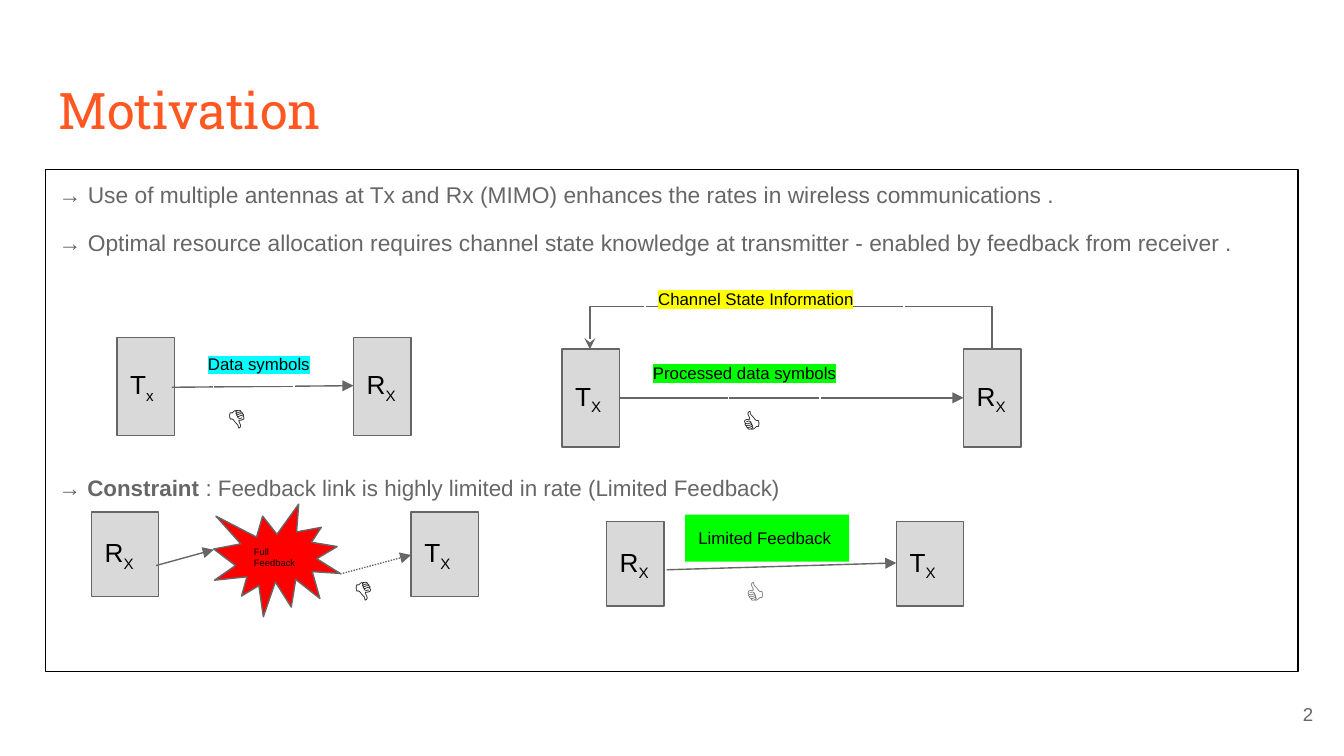
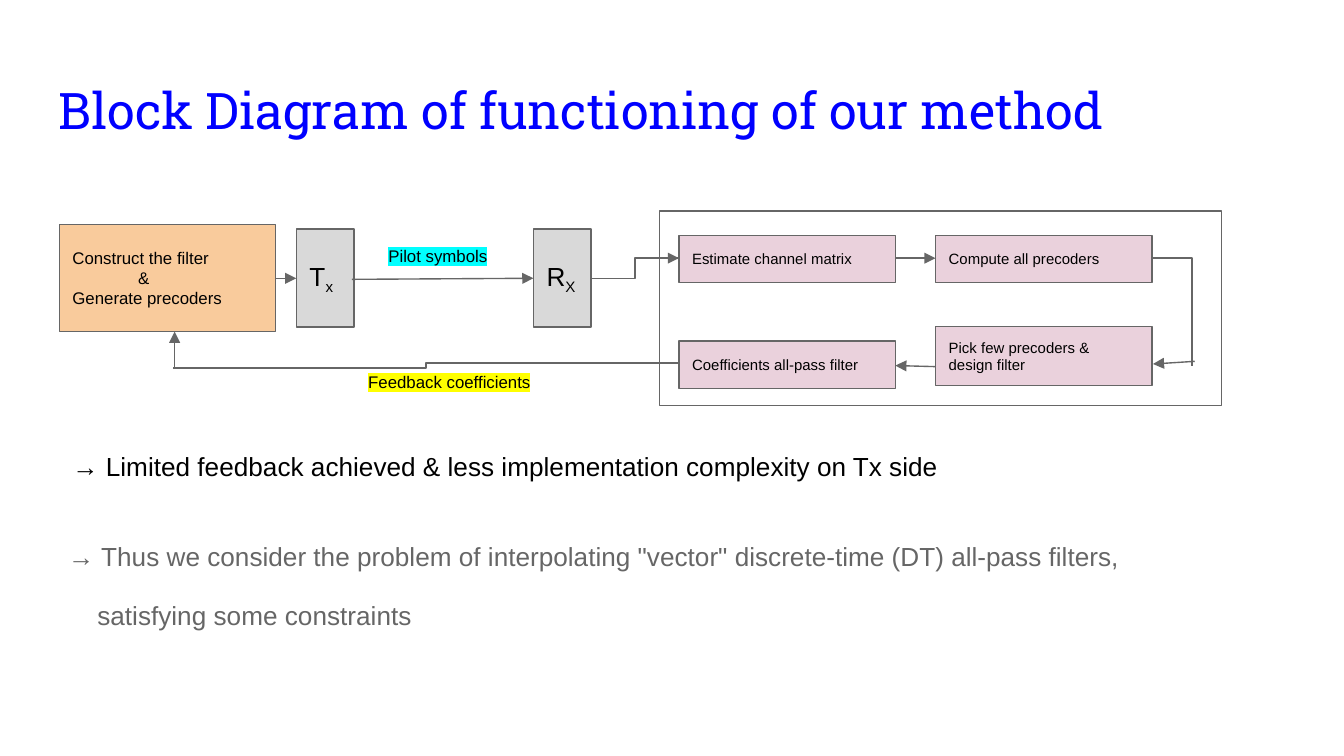
from dataclasses import dataclass

from lxml.etree import SubElement
from pptx import Presentation
from pptx.dml.color import RGBColor as RGB
from pptx.enum.dml import MSO_LINE as Dash
from pptx.enum.shapes import MSO_CONNECTOR as Wire, MSO_SHAPE as Form
from pptx.enum.text import MSO_ANCHOR as Anchor, PP_ALIGN as Align
from pptx.oxml.ns import qn
from pptx.util import Cm, Pt


@dataclass(frozen=True)
class Theme:
    black: str = "000000"
    white: str = "FFFFFF"
    gray: str = "666666"
    node: str = "D9D9D9"
    pink: str = "EAD1DC"
    peach: str = "F9CB9C"
    red: str = "FF0000"
    green: str = "00FF00"
    cyan: str = "00FFFF"
    yellow: str = "FFFF00"
    orange: str = "FF5722"
    blue: str = "0000FF"
    sans: str = "Arial"
    slab: str = "Roboto Slab"
    title: float = 27
    body: float = 12.2
    point: float = 12
    big: float = 14
    thumb: float = 16
    label: float = 9
    step: float = 8
    tiny: float = 5
    page: float = 10
    edge: float = 0.75


T = Theme()


def box(sld, at, *paras, size=T.label, ink=T.black, font=T.sans, fill=None,
        line=None, mark=None, mid=False, form=Form.RECTANGLE):
    """Add a box and return its paragraphs; each is a string or a list of (text, style)."""
    area = [Cm(v) for v in at]
    if fill or line:
        item = sld.shapes.add_shape(form, *area)
        item.shadow.inherit = False
        if fill:
            item.fill.solid()
            item.fill.fore_color.rgb = RGB.from_string(fill)
        else:
            item.fill.background()
        if line:
            item.line.color.rgb = RGB.from_string(line)
            item.line.width = Pt(T.edge)
        else:
            item.line.fill.background()
    else:
        item = sld.shapes.add_textbox(*area)
    frame = item.text_frame
    frame.word_wrap = True
    frame.vertical_anchor = Anchor.MIDDLE if mid else Anchor.TOP
    frame.margin_left = frame.margin_right = Cm(0.25)
    frame.margin_top = frame.margin_bottom = Cm(0.25)
    for i, runs in enumerate(paras):
        para = frame.add_paragraph() if i else frame.paragraphs[0]
        para.alignment = Align.LEFT
        for text, style in [(runs, "")] if isinstance(runs, str) else runs:
            run = para.add_run()
            run.text = text
            run.font.size = Pt(size)
            run.font.color.rgb = RGB.from_string(ink)
            run.font.name = font
            prop = run.font._element
            if style == "bold":
                run.font.bold = True
            elif style == "sub":
                prop.set("baseline", "-25000")
            if mark:
                glow = SubElement(prop, qn("a:highlight"))
                SubElement(glow, qn("a:srgbClr")).set("val", mark)
                prop.find(qn("a:latin")).addprevious(glow)
    return frame.paragraphs


def link(sld, *spots, tip="triangle", dots=False, bent=False):
    """Join spots with a connector, or with an open outline when there are more than two."""
    spots = [(Cm(x), Cm(y)) for x, y in spots]
    if len(spots) == 2:
        kind = Wire.ELBOW if bent else Wire.STRAIGHT
        wire = sld.shapes.add_connector(kind, *spots[0], *spots[1])
    else:
        path = sld.shapes.build_freeform(*spots[0])
        path.add_line_segments(spots[1:], close=False)
        wire = path.convert_to_shape()
        wire.fill.background()
    wire.line.color.rgb = RGB.from_string(T.gray)
    wire.line.width = Pt(T.edge)
    if dots:
        wire.line.dash_style = Dash.ROUND_DOT
    prop = wire.element.spPr
    if tip:
        SubElement(prop.find(qn("a:ln")), qn("a:tailEnd")).set("type", tip)
    SubElement(prop, qn("a:effectLst"))


deck = Presentation()
deck.slide_width, deck.slide_height = Cm(25.4), Cm(14.29)
pages = []
for title, ink in [("Motivation", T.orange),
                   ("Block Diagram of functioning of our method", T.blue)]:
    sld = deck.slides.add_slide(deck.slide_layouts[6])
    box(sld, (0.86, 1.24, 23.67, 1.6), title, size=T.title, ink=ink, font=T.slab)
    pages.append(sld)
why, flow = pages

# Antenna nodes on both slides
for sld, name, sub, x, y, w, h in [
    (why, "T", "x", 2.21, 6.38, 1.09, 1.85),
    (why, "R", "X", 6.68, 6.38, 1.09, 1.85),
    (why, "T", "X", 10.62, 6.6, 1.09, 1.85),
    (why, "R", "X", 18.21, 6.6, 1.09, 1.85),
    (why, "R", "X", 1.73, 9.68, 1.27, 1.6),
    (why, "T", "X", 7.77, 9.68, 1.27, 1.6),
    (why, "R", "X", 11.46, 9.86, 1.09, 1.6),
    (why, "T", "X", 16.94, 9.86, 1.27, 1.6),
    (flow, "T", "x", 5.6, 4.33, 1.09, 1.85),
    (flow, "R", "X", 10.08, 4.33, 1.09, 1.85),
]:
    box(sld, (x, y, w, h), [(name, ""), (sub, "sub")], size=T.big,
        fill=T.node, line=T.gray, mid=True)

# Motivation: points
points = box(
    why, (0.86, 3.2, 23.67, 9.5),
    "→ Use of multiple antennas at Tx and Rx (MIMO) enhances the rates in wireless communications .",
    "→ Optimal resource allocation requires channel state knowledge at transmitter"
    " - enabled by feedback from receiver .",
    size=T.body, ink=T.gray, line=T.black)
for para in points:
    para.line_spacing = 0.95
points[1].space_before = Pt(12)
limit = box(why, (0.86, 8.64, 17.81, 1.02),
            [("→ ", ""), ("Constraint ", "bold"),
             (": Feedback link is highly limited in rate (Limited Feedback)", "")],
            size=T.point, ink=T.gray)
limit[0].line_spacing = 1.15

# Motivation: links and labels
link(why, (3.25, 7.32), (6.68, 7.29))
link(why, (11.71, 7.52), (18.21, 7.52))
link(why, (18.75, 6.6), (18.75, 5.8), (11.15, 5.8), (11.15, 6.6), tip="stealth")
box(why, (4.04, 9.53, 2.39, 2.13), "Full Feedback", size=T.tiny, fill=T.red,
    line=T.gray, mid=True, form=Form.EXPLOSION1)
link(why, (2.95, 10.69), (4.04, 10.39))
link(why, (6.43, 10.85), (7.77, 10.49), dots=True)
box(why, (12.95, 9.73, 3.1, 0.89), "Limited Feedback", fill=T.green)
link(why, (12.6, 10.77), (16.94, 10.64))

for sld, text, x, y, w, mark, line in [
    (why, "Data symbols", 3.68, 6.5, 2.54, T.cyan, None),
    (why, "Processed data symbols", 12.09, 6.6, 5.08, T.green, T.white),
    (why, "Channel State Information", 12.19, 5.21, 4.9, T.yellow, T.white),
    (flow, "Pilot symbols", 7.09, 4.45, 2.54, T.cyan, None),
    (flow, "Feedback coefficients", 6.71, 6.83, 4.65, T.yellow, None),
]:
    box(sld, (x, y, w, 0.89), text, mark=mark, line=line)

for sign, x, y, w, ink, line in [
    ("👍", 13.77, 7.39, 1.73, T.black, T.white),
    ("👎", 4.04, 7.29, 1.52, T.black, T.white),
    ("👍", 13.84, 10.62, 1.09, T.gray, None),
    ("👎", 6.43, 10.54, 1.27, T.black, None),
]:
    box(why, (x, y, w, 1.19), sign, size=T.thumb, ink=ink, line=line)

page = box(why, (23.55, 12.95, 1.52, 1.09), "2", size=T.page, ink=T.gray, mid=True)
page[0].alignment = Align.RIGHT

# Block diagram: steps
box(flow, (12.47, 3.99, 10.62, 3.68), line=T.gray)
for x, y, h, *text in [
    (12.83, 4.45, 0.89, "Estimate channel matrix"),
    (17.68, 4.45, 0.89, "Compute all precoders"),
    (17.68, 6.17, 1.12, "Pick few precoders &", "design filter"),
    (12.83, 6.45, 0.89, "Coefficients all-pass filter"),
]:
    box(flow, (x, y, 4.09, h), *text, size=T.step, fill=T.pink, line=T.gray, mid=True)
build = box(flow, (1.12, 4.24, 4.09, 2.03), "Construct the filter", "&",
            "Generate precoders", fill=T.peach, line=T.gray, mid=True)
build[1]._p.get_or_add_pPr().set("marL", str(Cm(1.24)))

# Block diagram: links
for start, end in [
    ((5.21, 5.26), (5.6, 5.26)),
    ((6.65, 5.28), (10.08, 5.26)),
    ((12.06, 4.88), (12.83, 4.88)),
    ((16.92, 4.88), (17.68, 4.88)),
    ((22.58, 6.83), (21.79, 6.88)),
    ((17.68, 6.93), (16.92, 6.91)),
    ((3.3, 6.95), (3.3, 6.27)),
]:
    link(flow, start, end)
link(flow, (12.83, 4.88), (11.18, 5.26), tip=None, bent=True)
link(flow, (12.83, 6.86), (3.28, 6.96), tip=None, bent=True)
link(flow, (21.77, 4.88), (22.53, 4.88), (22.53, 6.91), tip=None)

# Block diagram: outcome
box(flow, (1.12, 8.26, 19.69, 1.12),
    "→ Limited feedback achieved & less implementation complexity on Tx side", size=T.big)
aim = box(flow, (1.04, 9.88, 21.89, 2.24),
          '→ Thus we consider the problem of interpolating "vector" discrete-time (DT) all-pass filters,',
          "satisfying some constraints", size=T.big, ink=T.gray)
for para in aim:
    para.line_spacing = 1.15
aim[1].space_before = Pt(12)
aim[1]._p.get_or_add_pPr().set("marL", str(Cm(0.55)))

deck.save("out.pptx")
